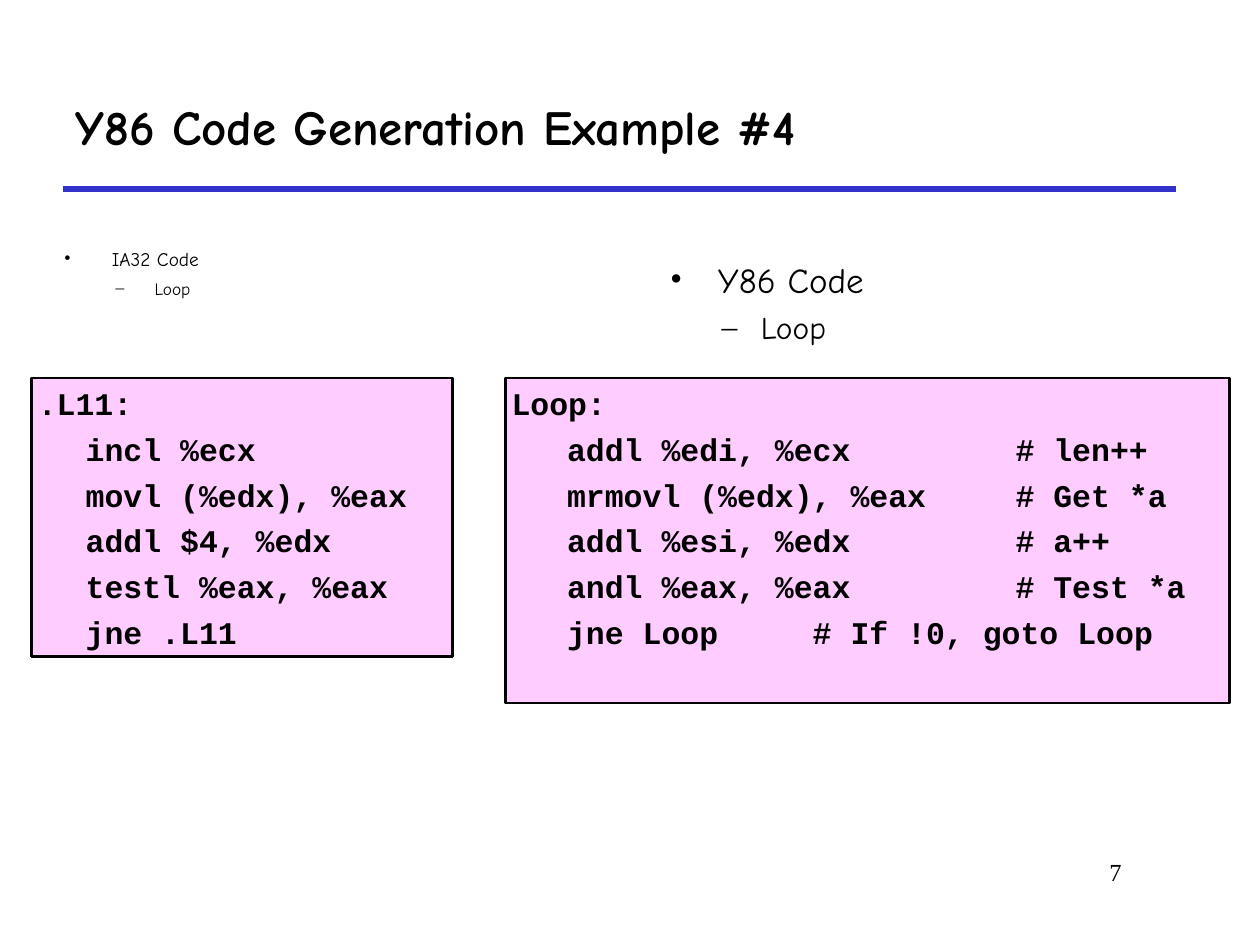
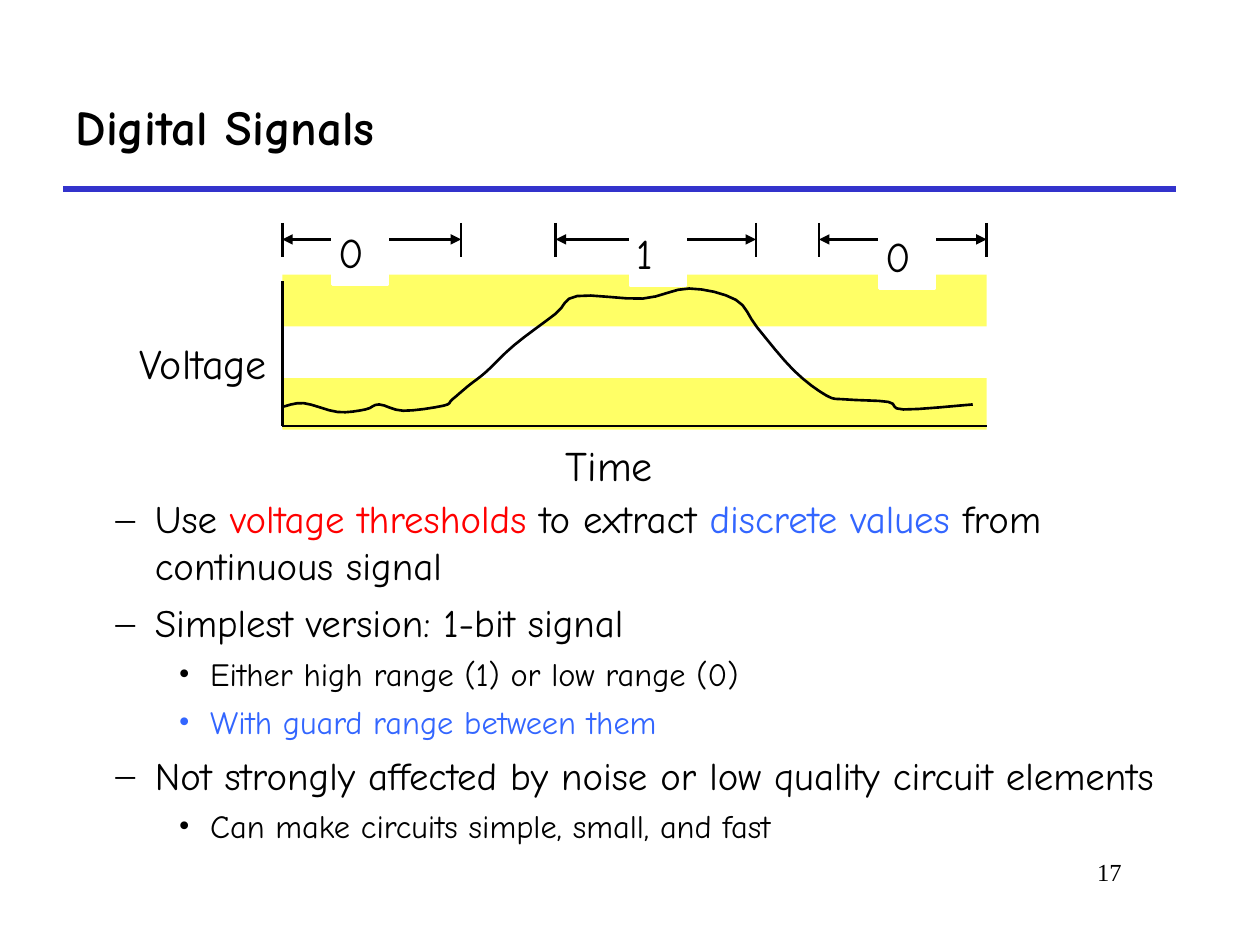
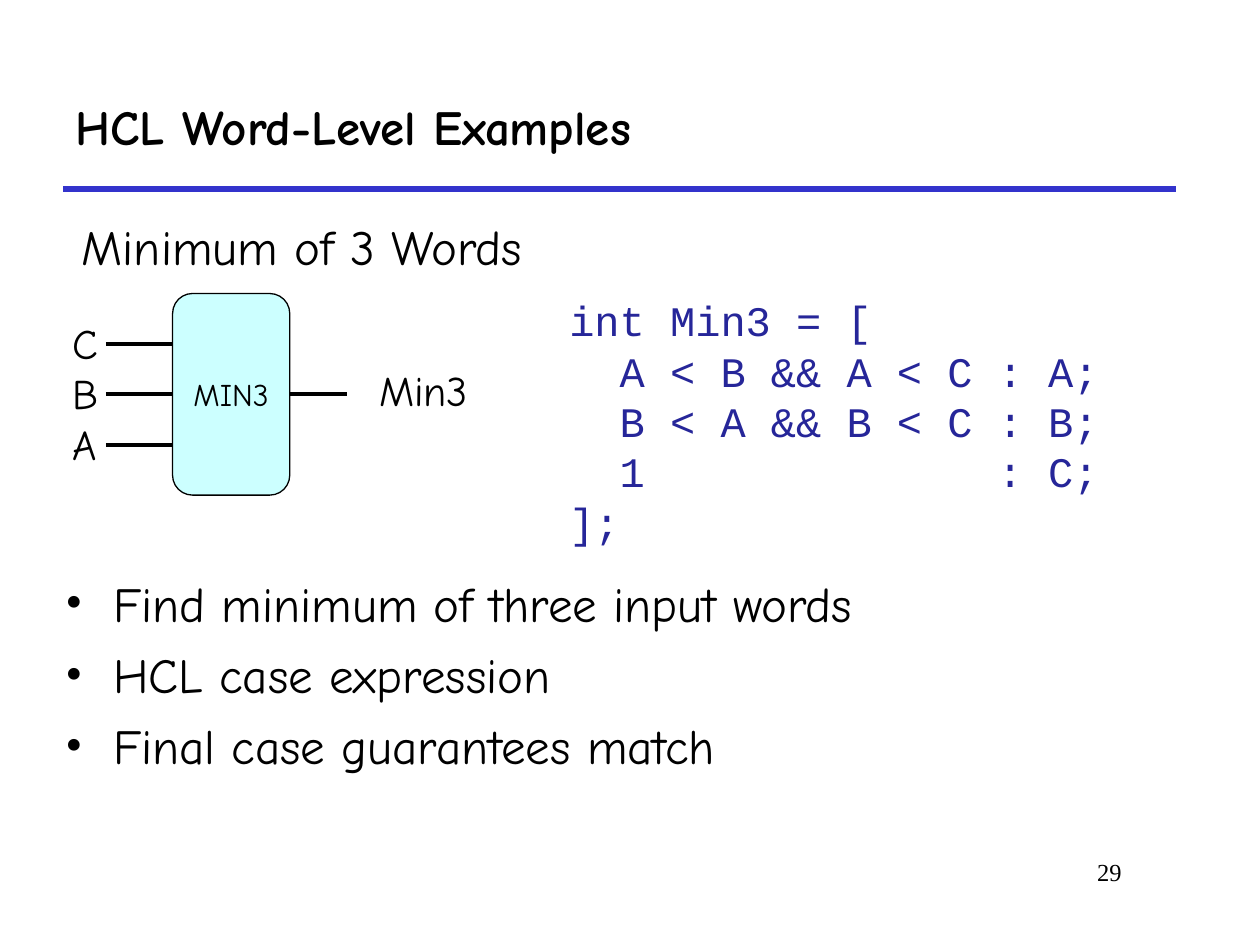
from lxml import etree
from pptx import Presentation
from pptx.dml.color import RGBColor
from pptx.enum.shapes import MSO_CONNECTOR, MSO_SHAPE
from pptx.enum.text import MSO_ANCHOR, MSO_AUTO_SIZE, PP_ALIGN
from pptx.oxml.ns import qn
from pptx.util import Inches, Pt

STRAIGHT = MSO_CONNECTOR.STRAIGHT
RECTANGLE = MSO_SHAPE.RECTANGLE
ROUNDED = MSO_SHAPE.ROUNDED_RECTANGLE
TOP, MIDDLE = MSO_ANCHOR.TOP, MSO_ANCHOR.MIDDLE
LEFT, CENTER, RIGHT = PP_ALIGN.LEFT, PP_ALIGN.CENTER, PP_ALIGN.RIGHT
NO_AUTOFIT = MSO_AUTO_SIZE.NONE

BLACK = RGBColor(0, 0, 0)
WHITE = RGBColor(0xFF, 0xFF, 0xFF)
RULE_BLUE = RGBColor(0x33, 0x33, 0xCC)
CODE_BLUE = RGBColor(0x26, 0x26, 0x99)
ACCENT_BLUE = RGBColor(0x33, 0x66, 0xFF)
RED = RGBColor(0xFF, 0, 0)
PINK = RGBColor(0xFF, 0xCC, 0xFF)
YELLOW = RGBColor(0xFF, 0xFF, 0x66)
CYAN = RGBColor(0xCC, 0xFF, 0xFF)

HAND, MONO, SERIF = "Comic Neue", "Courier New", "Times New Roman"
LEVELS = [(0.38, -0.38, "•"), (0.81, -0.31, "–"), (1.25, -0.25, "•")]


def place(shape, box):
    shape.left, shape.top, shape.width, shape.height = map(Inches, box)


def set_frame(frame, inset=0.1, wrap=True, anchor=TOP):
    frame.auto_size = NO_AUTOFIT
    frame.word_wrap = wrap
    frame.vertical_anchor = anchor
    frame.margin_left = frame.margin_right = Inches(inset)
    frame.margin_top = frame.margin_bottom = Inches(0.05)


def set_tabs(paragraph, stops):
    tab_list = etree.SubElement(paragraph._p.get_or_add_pPr(), qn("a:tabLst"))
    for stop in stops:
        etree.SubElement(tab_list, qn("a:tab"), pos=str(Inches(stop)), algn="l")


def set_font(paragraph, size, name=HAND, color=BLACK, bold=False):
    paragraph.font.size = Pt(size)
    paragraph.font.name = name
    paragraph.font.color.rgb = color
    paragraph.font.bold = bold


def next_paragraph(frame, index):
    return frame.add_paragraph() if index else frame.paragraphs[0]


def write_line(frame, text, size, font=HAND, align=LEFT, space=6, bold=False):
    paragraph = frame.paragraphs[0]
    paragraph.text = text
    paragraph.alignment = align
    paragraph.space_before = Pt(space)
    set_font(paragraph, size, font, bold=bold)


def add_label(slide, box, text, size=24, inset=0.1, align=LEFT, space=6,
              font=HAND, wrap=False):
    text_box = slide.shapes.add_textbox(*map(Inches, box))
    set_frame(text_box.text_frame, inset, wrap)
    write_line(text_box.text_frame, text, size, font, align, space)


def add_box(slide, box, fill, line=None, width=1.5, kind=RECTANGLE):
    shape = slide.shapes.add_shape(kind, *map(Inches, box))
    shape.shadow.inherit = False
    shape.fill.solid()
    shape.fill.fore_color.rgb = fill
    if line is None:
        shape.line.fill.background()
    else:
        shape.line.color.rgb = line
        shape.line.width = Pt(width)
    return shape


def add_line(slide, start, end, color=BLACK, width=1.5, arrows=False):
    line = slide.shapes.add_connector(STRAIGHT, *map(Inches, (*start, *end)))
    line.line.color.rgb = color
    line.line.width = Pt(width)
    properties = line._element.spPr
    if arrows:
        outline = properties.find(qn("a:ln"))
        for end_name in ("a:headEnd", "a:tailEnd"):
            etree.SubElement(outline, qn(end_name), type="triangle")
    etree.SubElement(properties, qn("a:effectLst"))


def add_bullets(slide, box, items, first_margin=0.38):
    text_box = slide.shapes.add_textbox(*map(Inches, box))
    frame = text_box.text_frame
    set_frame(frame)
    for index, (level, size, space, runs) in enumerate(items):
        margin, indent, mark = LEVELS[level]
        paragraph = next_paragraph(frame, index)
        paragraph.level = level
        paragraph.space_before = Pt(space)
        properties = paragraph._p.get_or_add_pPr()
        properties.set("marL", str(Inches(margin if level else first_margin)))
        properties.set("indent", str(Inches(indent)))
        etree.SubElement(properties, qn("a:buFont"), typeface=SERIF)
        etree.SubElement(properties, qn("a:buChar"), char=mark)
        set_font(paragraph, size)
        for text, color in runs:
            run = paragraph.add_run()
            run.text = text
            if color != BLACK:
                run.font.color.rgb = color


def write_code(frame, lines, tabs, size, color, space=0, bold=False):
    for index, (text, stops) in enumerate(zip(lines, tabs)):
        paragraph = next_paragraph(frame, index)
        paragraph.text = text
        paragraph.alignment = LEFT
        paragraph.space_before = Pt(space)
        set_tabs(paragraph, stops)
        set_font(paragraph, size, MONO, color, bold)


def add_code_panel(slide, box, lines, tabs):
    panel = add_box(slide, box, PINK, BLACK)
    set_frame(panel.text_frame, 0.05)
    write_code(panel.text_frame, lines, tabs, 18, BLACK, 4.5, True)


def start_slide(presentation, title, number):
    slide = presentation.slides.add_slide(presentation.slide_layouts[5])
    add_line(slide, (0.5, 1.5), (9.33, 1.5), RULE_BLUE, 3)
    heading = slide.shapes.title
    place(heading, (0.5, 0.5, 8.83, 1))
    set_frame(heading.text_frame, anchor=MIDDLE)
    write_line(heading.text_frame, title, 28, space=0, bold=True)
    add_label(slide, (7.58, 6.75, 1.42, 0.5), str(number), 14,
              align=RIGHT, space=0, font=SERIF, wrap=True)
    return slide


def smooth_points(anchors, steps=4):
    padded = [anchors[0], *anchors, anchors[-1]]
    points = [anchors[0]]
    for corners in zip(padded, padded[1:], padded[2:], padded[3:]):
        for step in range(1, steps + 1):
            t = step / steps
            points.append(tuple(
                0.5 * (2 * b + (c - a) * t + (2 * a - 5 * b + 4 * c - d) * t ** 2
                       + (3 * b - a - 3 * c + d) * t ** 3)
                for a, b, c, d in zip(*corners)))
    return points


def add_signal(slide, left, top, anchors):
    points = [(Inches(left + x), Inches(top + y)) for x, y in smooth_points(anchors)]
    builder = slide.shapes.build_freeform(*points[0])
    builder.add_line_segments(points[1:], close=False)
    signal = builder.convert_to_shape()
    signal.shadow.inherit = False
    signal.fill.background()
    signal.line.color.rgb = BLACK
    signal.line.width = Pt(1.5)


def add_voltage_plot(slide, box):
    left, top, width, height = box
    right, axis = left + width, top + height - 0.03
    for band_top in (top, top + 0.82):
        add_box(slide, (left, band_top, width, 0.41), YELLOW)
    add_line(slide, (left, axis), (left, top + 0.05))
    add_line(slide, (left, axis), (right, axis))
    add_label(slide, (left - 1.21, top + 0.45, 1.14, 0.51), "Voltage",
              inset=0.05, align=RIGHT)
    add_label(slide, (left + 2.2, top + 1.26, 0.8, 0.51), "Time", inset=0.05)
    add_signal(slide, left, top, [
        (0, 1.05), (0.17, 1.02), (0.44, 1.09), (0.66, 1.07), (0.77, 1.03),
        (0.96, 1.08), (1.28, 1.04), (1.35, 0.99), (1.48, 0.88), (1.62, 0.77),
        (1.84, 0.56), (2.17, 0.31), (2.34, 0.17), (2.86, 0.19), (3.23, 0.11),
        (3.6, 0.2), (3.77, 0.42), (4.06, 0.76), (4.32, 0.96), (4.47, 0.99),
        (4.81, 1.01), (4.93, 1.07), (5.48, 1.03)])
    intervals = [(0, 1.42, 0.4, -0.43, "0"), (2.17, 3.76, 2.76, -0.42, "1"),
                 (4.26, 5.59, 4.74, -0.4, "0")]
    for start, end, label_left, label_top, bit in intervals:
        for edge in (left + start, left + end):
            add_line(slide, (edge, top - 0.41), (edge, top - 0.14))
        add_line(slide, (left + start, top - 0.28), (left + end, top - 0.28),
                 arrows=True)
        label = add_box(slide, (left + label_left, top + label_top, 0.44, 0.51),
                        WHITE, WHITE)
        set_frame(label.text_frame, 0.05)
        write_line(label.text_frame, bit, 24)


def add_min3_block(slide, box):
    left, top, width, height = box
    middle = top + height / 2
    block = add_box(slide, box, CYAN, BLACK, 0.75, ROUNDED)
    block.adjustments[0] = 0.17
    set_frame(block.text_frame, wrap=False, anchor=MIDDLE)
    write_line(block.text_frame, "MIN3", 18, align=CENTER, space=4.5)
    for row, name in enumerate("CBA"):
        wire = middle + (row - 1) * 0.4
        add_line(slide, (left - 0.53, wire), (left, wire), width=2.25)
        add_label(slide, (left - 0.89, wire - 0.26, 0.41, 0.51), name)
    add_line(slide, (left + width, middle), (left + width + 0.45, middle), width=2.25)
    add_label(slide, (left + width + 0.61, middle - 0.29, 0.92, 0.51), "Min3")


def build_code_slide(presentation):
    slide = start_slide(presentation, "Y86 Code Generation Example #4", 7)
    columns = [("IA32 Code", (0.32, 1.91, 4.46, 0.5), 11, 9.9),
               ("Y86 Code", (5.13, 2, 4.46, 4.83), 20, 18)]
    for name, box, size, small_size in columns:
        add_bullets(slide, box, [(0, size, 5, [(name, BLACK)]),
                                 (1, small_size, 4.5, [("Loop", BLACK)])], 0.47)
    add_code_panel(slide, (0.25, 3, 3.34, 2.21), [
        ".L11:", "\tincl %ecx", "\tmovl (%edx), %eax", "\taddl $4, %edx",
        "\ttestl %eax, %eax", "\tjne .L11"], [(0.38,)] * 6)
    add_code_panel(slide, (4.01, 3, 5.75, 2.58), [
        "Loop:", "\taddl %edi, %ecx\t# len++", "\tmrmovl (%edx), %eax\t# Get *a",
        "\taddl %esi, %edx\t# a++", "\tandl %eax, %eax\t# Test *a",
        "\tjne Loop\t# If !0, goto Loop"], [(0.44, 4)] * 5 + [(0.44, 2.39)])


def build_signal_slide(presentation):
    slide = start_slide(presentation, "Digital Signals", 17)
    add_bullets(slide, (0.32, 3.88, 9.08, 2.96), [
        (1, 22.2, 6, [("Use ", BLACK), ("voltage thresholds ", RED),
                      ("to extract ", BLACK), ("discrete values ", ACCENT_BLUE),
                      ("from continuous signal", BLACK)]),
        (1, 22.2, 6, [("Simplest version: 1-bit signal", BLACK)]),
        (2, 18.5, 5, [("Either high range (1) or low range (0)", BLACK)]),
        (2, 18.5, 5, [("With guard range between them", ACCENT_BLUE)]),
        (1, 22.2, 6, [("Not strongly affected by noise or low quality circuit elements",
                       BLACK)]),
        (2, 18.5, 5, [("Can make circuits simple, small, and fast", BLACK)])])
    add_voltage_plot(slide, (2.24, 2.18, 5.59, 1.23))


def build_word_slide(presentation):
    slide = start_slide(presentation, "HCL Word-Level Examples", 29)
    add_bullets(slide, (0.42, 4.5, 8.58, 1.84), [
        (0, 28, 7, [(text, BLACK)]) for text in (
            "Find minimum of three input words", "HCL case expression",
            "Final case guarantees match")])
    add_min3_block(slide, (1.37, 2.33, 0.93, 1.6))
    code = slide.shapes.add_textbox(*map(Inches, (4.42, 2.29, 5.33, 2.11)))
    set_frame(code.text_frame)
    write_code(code.text_frame, [
        "int Min3 = [", "\tA < B && A < C : A;", "\tB < A && B < C : B;",
        "\t1\t: C;", "];"], [(0.4, 3.4)] * 5, 24, CODE_BLUE)
    add_label(slide, (0.6, 1.67, 3.63, 0.57), "Minimum of 3 Words", 28, 0.05, space=7)


def main():
    presentation = Presentation()
    presentation.slide_width = Inches(10)
    presentation.slide_height = Inches(7.5)
    build_code_slide(presentation)
    build_signal_slide(presentation)
    build_word_slide(presentation)
    presentation.save("out.pptx")


if __name__ == "__main__":
    main()
